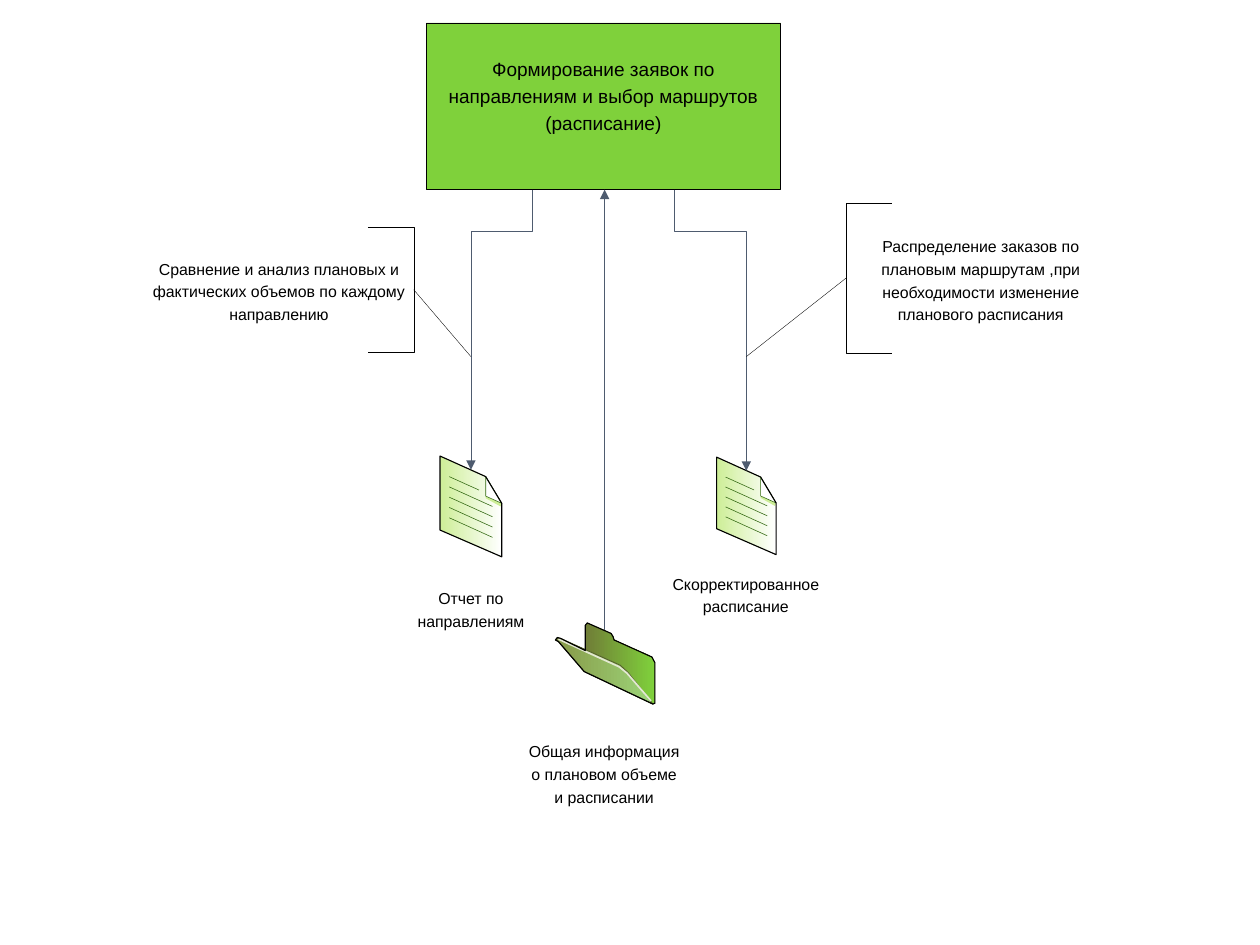
from copy import deepcopy

from lxml import etree
from pptx import Presentation
from pptx.dml.color import RGBColor
from pptx.enum.shapes import MSO_CONNECTOR, MSO_SHAPE
from pptx.enum.text import MSO_ANCHOR, PP_ALIGN
from pptx.oxml.ns import qn
from pptx.util import Inches, Mm, Pt

STRAIGHT = MSO_CONNECTOR.STRAIGHT
RECTANGLE = MSO_SHAPE.RECTANGLE
MIDDLE = MSO_ANCHOR.MIDDLE
CENTER = PP_ALIGN.CENTER

BLACK = RGBColor(0x00, 0x00, 0x00)
WHITE = RGBColor(0xFF, 0xFF, 0xFF)
GREEN = RGBColor(0x7F, 0xD1, 0x3B)
SLATE = RGBColor(0x4E, 0x5B, 0x6F)
PALE = RGBColor(0xCD, 0xEE, 0x97)
FOREST = RGBColor(0x36, 0x6B, 0x16)
OLIVE = RGBColor(0x70, 0x7D, 0x37)
DARK_OLIVE = RGBColor(0x55, 0x60, 0x2D)
MOSS = RGBColor(0x87, 0x99, 0x48)
LEAF = RGBColor(0x9D, 0xD5, 0x79)
GLINT = RGBColor(0xE3, 0xE8, 0xD2)

HAIR = 0.23
PROCESS = (3.73, 0.2, 3.1, 1.46)
BEND = 2.02
NOTE_JOIN = 3.12

PAGE = [(0, 0), (0.74, 0.2), (1, 0.46), (1, 0.98), (0, 0.72)]
FOLD_SHADE = [(0.74, 0.41), (0.74, 0.2), (1, 0.46), (0.98, 0.49)]
FOLD = [(1, 0.46), (0.74, 0.2), (0.74, 0.39)]
BACK = [(0.3, 0.03), (0.32, 0), (0.56, 0.13), (0.58, 0.17), (0.59, 0.21),
        (0.97, 0.42), (1, 0.49), (1, 0.99), (0.98, 1), (0.3, 0.59)]
FRONT = [(0.98, 1), (0.73, 0.61), (0.65, 0.52), (0.05, 0.19), (0.02, 0.18),
         (0, 0.21), (0.03, 0.23), (0.29, 0.6)]
EDGE = [(0.96, 0.96), (0.72, 0.62), (0.64, 0.54), (0.03, 0.2)]


def style_line(line, color, width, arrow=False):
    """Colour a line and optionally end it with a triangle."""
    line.color.rgb = color
    line.width = Pt(width)
    if arrow:
        ln = line.fill._xPr
        etree.SubElement(ln, qn("a:tailEnd"), type="triangle")


def outline(shapes, box, contours, closed=True, fill=None, line=None, width=HAIR, arrow=False):
    """Draw contours given as shares of a box; two fill colours make a gradient."""
    x, y, w, h = box
    builder = None
    for contour in contours:
        points = [(Inches(x + u * w), Inches(y + v * h)) for u, v in contour]
        if builder is None:
            builder = shapes.build_freeform(*points[0])
        else:
            builder.move_to(*points[0])
        builder.add_line_segments(points[1:], close=closed)
    sp = builder.convert_to_shape()
    sp.shadow.inherit = False
    if fill is None:
        sp.fill.background()
    elif len(fill) == 1:
        sp.fill.solid()
        sp.fill.fore_color.rgb = fill[0]
    else:
        sp.fill.gradient()
        sp.fill.gradient_angle = 0
        for stop, color in zip(sp.fill.gradient_stops, fill):
            stop.color.rgb = color
    if line is None:
        sp.line.fill.background()
    else:
        style_line(sp.line, line, width, arrow)


def straight(shapes, start, end, color, arrow=False):
    """Join two points with a thin straight connector."""
    cx = shapes.add_connector(STRAIGHT, *(Inches(v) for v in start + end))
    style_line(cx.line, color, HAIR, arrow)
    etree.SubElement(cx._element.spPr, qn("a:effectLst"))


def write(sp, text, size, inset):
    """Put one centred paragraph into a shape."""
    tf = sp.text_frame
    tf.word_wrap = True
    tf.vertical_anchor = MIDDLE
    tf.margin_left = tf.margin_right = tf.margin_top = tf.margin_bottom = Inches(inset)
    p = tf.paragraphs[0]
    p.text = text
    p.alignment = CENTER
    p.line_spacing = 1.2
    for r in p.runs:
        r.font.name = "Arial"
        r.font.size = Pt(size)
        r.font.color.rgb = BLACK
    for br in p._p.findall(qn("a:br")):
        br.insert(0, deepcopy(p.runs[0]._r.rPr))


def label(shapes, box, text, inset=0.06):
    """Add a caption in the given box."""
    write(shapes.add_textbox(*(Inches(v) for v in box)), text, 10, inset)


def process(shapes, box, text):
    """Add the green process block."""
    sp = shapes.add_shape(RECTANGLE, *(Inches(v) for v in box))
    sp.shadow.inherit = False
    sp.fill.solid()
    sp.fill.fore_color.rgb = GREEN
    style_line(sp.line, BLACK, HAIR)
    write(sp, text, 12, 0.03)
    sp.text_frame.margin_bottom = Inches(0.25)


def document(shapes, box):
    """Draw a tilted page with text lines and a folded corner."""
    rules = [[(0.63, 0.33), (0.15, 0.2)]]
    rules += [[(0.85, 0.39 + 0.1 * i), (0.15, 0.2 + 0.1 * i)] for i in range(1, 5)]
    outline(shapes, box, [PAGE], fill=(PALE, WHITE))
    outline(shapes, box, rules, closed=False, line=FOREST, width=0.37)
    outline(shapes, box, [FOLD_SHADE], fill=(PALE,))
    outline(shapes, box, [FOLD], fill=(WHITE,), line=FOREST, width=0.37)
    outline(shapes, box, [PAGE], line=BLACK, width=0.71)


def folder(shapes, box):
    """Draw a tilted open folder."""
    silhouette = BACK[:-1] + FRONT[:2:-1] + [(0.3, 0.34)]
    outline(shapes, box, [BACK], fill=(OLIVE, GREEN), line=OLIVE, width=0.37)
    outline(shapes, box, [FRONT], fill=(MOSS, LEAF), line=DARK_OLIVE, width=0.57)
    outline(shapes, box, [EDGE], closed=False, line=GLINT, width=1.08)
    outline(shapes, box, [silhouette], line=BLACK, width=0.71)


def output(shapes, box, exit_share, caption_box, caption):
    """Add a document fed by a bent arrow from the process block."""
    x, y, w, h = box
    px, py, pw, ph = PROCESS
    start, target, bottom = px + exit_share * pw, x + w / 2, py + ph
    route = [(start, bottom), (start, BEND), (target, BEND), (target, y + 0.12)]
    document(shapes, box)
    label(shapes, caption_box, caption)
    outline(shapes, (0, 0, 1, 1), [route], closed=False, line=SLATE, arrow=True)


def note(shapes, box, text, spine, join):
    """Add a bracketed note; spine is the share of its width where the bracket stands."""
    x, y, w, h = box
    tip = abs(spine - 0.17)
    bracket = [(tip, 0.03), (spine, 0.03), (spine, 0.97), (tip, 0.97)]
    outline(shapes, box, [bracket], closed=False, line=BLACK)
    label(shapes, box, text, 0.03)
    straight(shapes, (join, NOTE_JOIN), (x + spine * w, y + h / 2), BLACK)


def main():
    """Build the slide."""
    prs = Presentation()
    prs.slide_width = Mm(280)
    prs.slide_height = Mm(210)
    shapes = prs.slides.add_slide(prs.slide_layouts[6]).shapes

    process(shapes, PROCESS, "Формирование заявок по направлениям и выбор маршрутов (расписание)")
    folder(shapes, (4.86, 5.45, 0.87, 0.71))
    label(shapes, (4.07, 6.28, 2.43, 0.96),
          "Общая информация\vо плановом объеме\vи расписании")
    straight(shapes, (5.29, 5.51), (5.29, 1.66), SLATE, arrow=True)
    output(shapes, (6.27, 4, 0.52, 0.87), 0.7, (5.81, 4.95, 1.43, 0.48),
           "Скорректированное расписание")
    output(shapes, (3.85, 3.99, 0.54, 0.9), 0.3, (3.26, 5.04, 1.72, 0.55),
           "Отчет по\vнаправлениям")
    note(shapes, (7.4, 1.74, 2.36, 1.39),
         "Распределение заказов по плановым маршрутам ,при "
         "необходимости изменение планового расписания", 0, 6.53)
    note(shapes, (1.26, 1.95, 2.36, 1.17),
         "Сравнение и анализ плановых и фактических объемов по каждому направлению",
         1, 4.12)
    prs.save("out.pptx")


if __name__ == "__main__":
    main()
